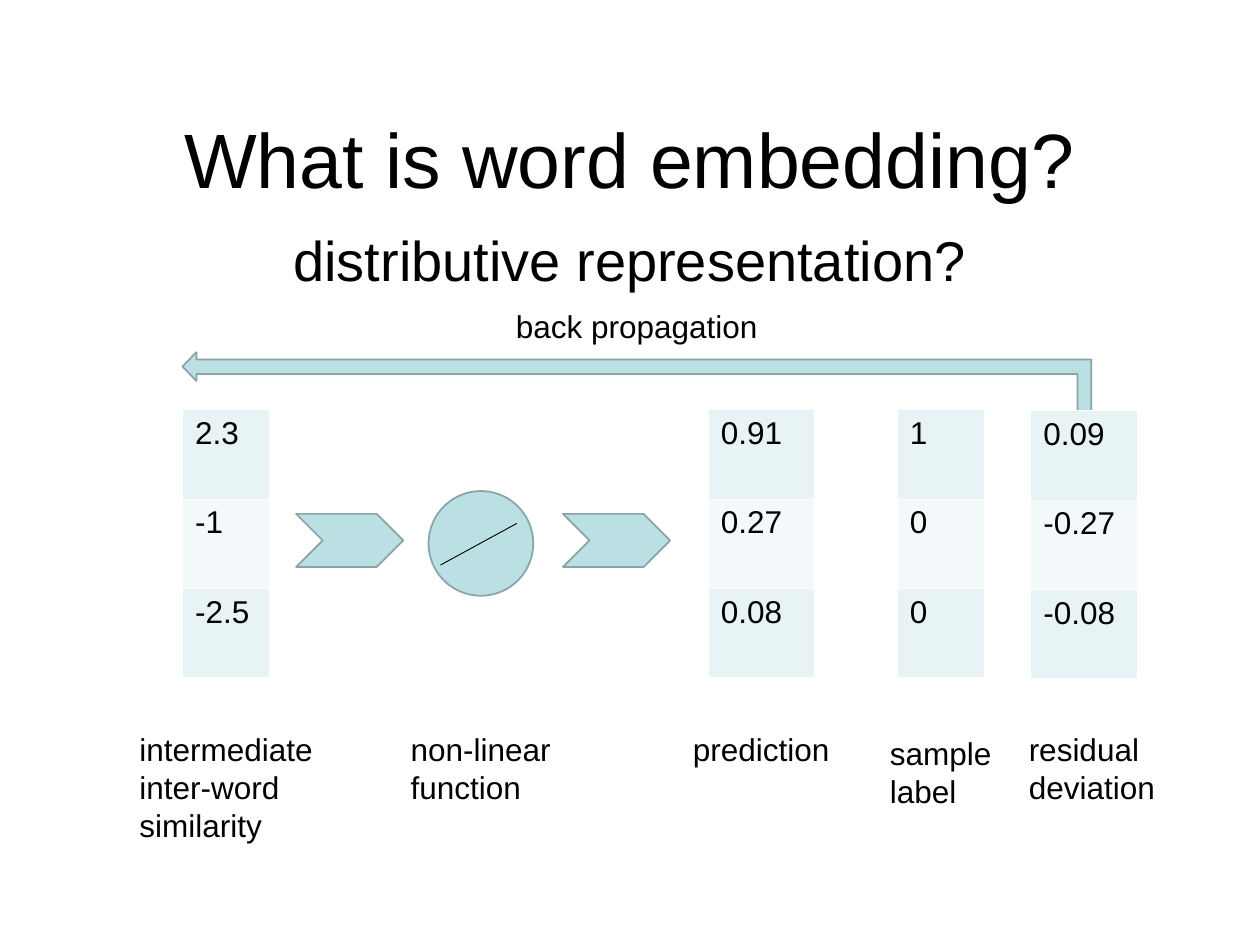
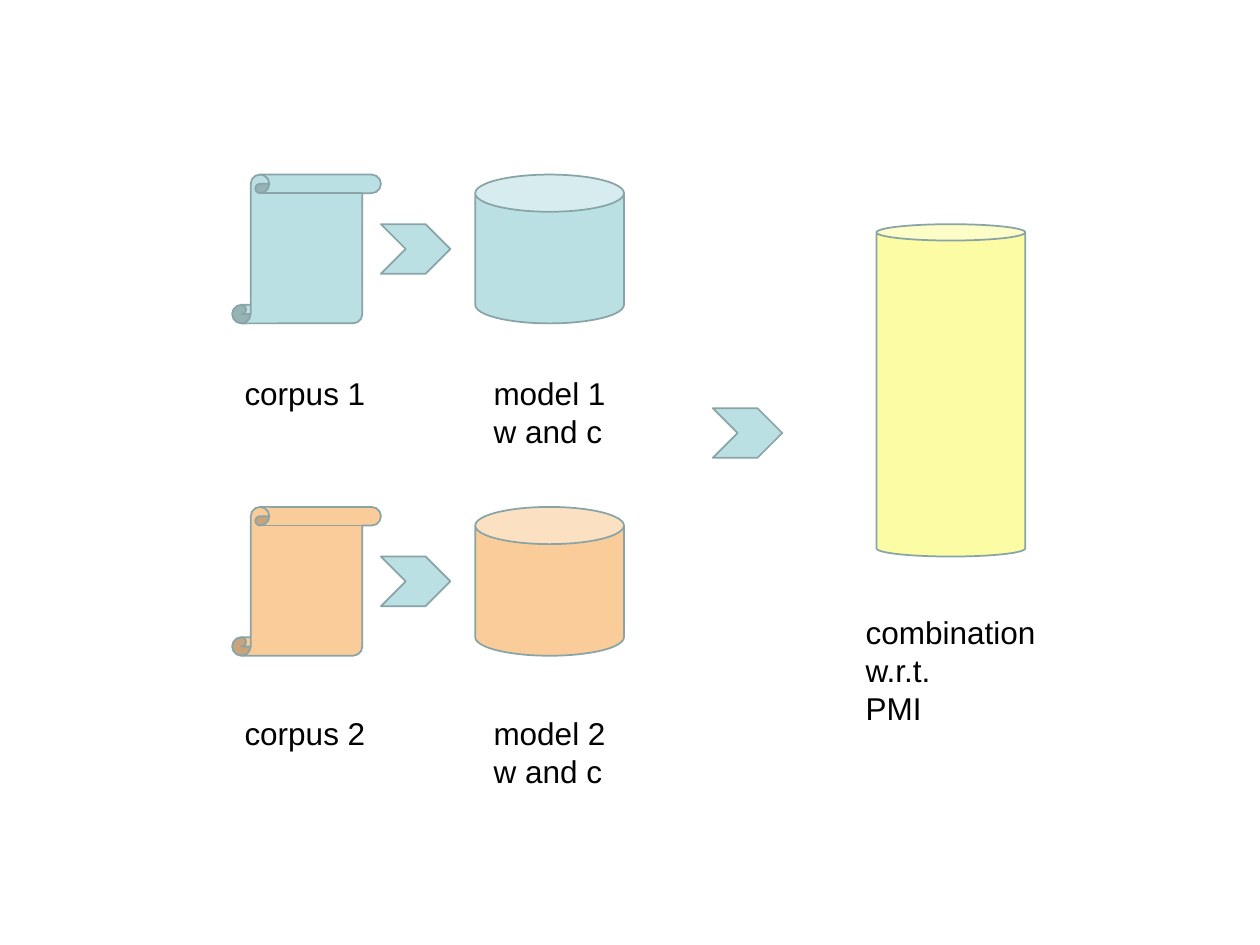
import pptx
import pptx.dml.color
import pptx.enum.shapes
import pptx.enum.text
import pptx.oxml
import pptx.oxml.ns
import pptx.util
from pptx.util import Cm

SHAPES = pptx.enum.shapes.MSO_SHAPE
TEXT_ENUMS = pptx.enum.text
FONT = "Arial"
BLACK, WHITE = "000000", "FFFFFF"
AQUA, ORANGE, YELLOW = "BBE0E3", "FACC9A", "FBFCA3"
OUTLINE = "89A4A7"
BANDS = ("E7F3F4", "F3F9FA")


def color(hex_string):
    return pptx.dml.color.RGBColor.from_string(hex_string)


def place(*lengths):
    return [Cm(length) for length in lengths]


def format_text(text_frame, size):
    for para in text_frame.paragraphs:
        for span in para.runs:
            span.font.name = FONT
            span.font.size = pptx.util.Pt(size)
            span.font.color.rgb = color(BLACK)


def fill_heading(placeholder, text, size, box, space_before=0):
    placeholder.left, placeholder.top, placeholder.width, placeholder.height = place(*box)
    frame = placeholder.text_frame
    frame.text = text
    frame.auto_size = TEXT_ENUMS.MSO_AUTO_SIZE.NONE
    para = frame.paragraphs[0]
    para.alignment = TEXT_ENUMS.PP_ALIGN.CENTER
    para.space_before = pptx.util.Pt(space_before)
    format_text(frame, size)


def add_label(page, text, left, top, width):
    """Add an 18 pt caption whose height follows its number of lines."""
    height = 0.26 + 0.76 * len(text.split("\n"))
    frame = page.shapes.add_textbox(*place(left, top, width, height)).text_frame
    frame.text = text
    frame.word_wrap = True
    frame.auto_size = TEXT_ENUMS.MSO_AUTO_SIZE.SHAPE_TO_FIT_TEXT
    format_text(frame, 18)


def style_shape(shape, fill):
    shape.shadow.inherit = False
    shape.fill.solid()
    shape.fill.fore_color.rgb = color(fill)
    shape.line.color.rgb = color(OUTLINE)
    shape.line.width = pptx.util.Pt(1)


def add_figure(page, kind, left, top, width, height, fill=AQUA):
    shape = page.shapes.add_shape(kind, *place(left, top, width, height))
    style_shape(shape, fill)
    return shape


def add_outline(page, points):
    start, *others = [place(*point) for point in points]
    builder = page.shapes.build_freeform(*start)
    builder.add_line_segments(others, close=True)
    style_shape(builder.convert_to_shape(), AQUA)


def add_thin_line(page, *ends):
    line = page.shapes.add_connector(
        pptx.enum.shapes.MSO_CONNECTOR.STRAIGHT, *place(*ends))
    line.line.color.rgb = color(BLACK)
    line.line.width = pptx.util.Pt(0.5)
    properties = line._element.spPr
    properties.append(properties.makeelement(pptx.oxml.ns.qn("a:effectLst"), {}))


def set_borders(cell):
    properties = cell._tc.get_or_add_tcPr()
    for side in "LRTB":
        properties.append(pptx.oxml.parse_xml(
            f'<a:ln{side} {pptx.oxml.ns.nsdecls("a")} w="5715"><a:solidFill>'
            f'<a:srgbClr val="{WHITE}"/></a:solidFill></a:ln{side}>'))


def add_vector(page, values, left, top, width):
    """Add a one-column table of values with alternating bands."""
    row_height = 1.8
    table = page.shapes.add_table(
        len(values), 1, *place(left, top, width, row_height * len(values))).table
    table.first_row = False
    table.horz_banding = False
    for index, value in enumerate(values):
        cell = table.cell(index, 0)
        cell.text_frame.text = value
        format_text(cell.text_frame, 18)
        set_borders(cell)
        cell.fill.solid()
        cell.fill.fore_color.rgb = color(BANDS[index % 2])


def build_training_page(deck):
    page = deck.slides.add_slide(deck.slide_layouts[0])
    fill_heading(page.shapes.title, "What is word embedding?", 44,
                 (1.9, 1.14, 21.59, 4.09))
    fill_heading(page.placeholders[1], "distributive representation?", 32,
                 (4.14, 4.42, 17.12, 1.98), space_before=8)

    add_figure(page, SHAPES.OVAL, 8.64, 9.9, 2.11, 2.11)
    add_thin_line(page, 8.88, 11.39, 10.42, 10.55)
    for left in (5.97, 11.35):
        add_figure(page, SHAPES.CHEVRON, left, 10.36, 2.16, 1.07)
    add_outline(page, [
        (21.72, 8.28), (21.72, 7.54), (3.96, 7.54), (3.96, 7.68), (3.68, 7.39),
        (3.96, 7.1), (3.96, 7.25), (22, 7.25), (22, 8.28)])

    for values, left, top, width in (
            (("2.3", "-1", "-2.5"), 3.68, 8.26, 1.75),
            (("0.91", "0.27", "0.08"), 14.28, 8.26, 2.14),
            (("1", "0", "0"), 18.09, 8.26, 1.75),
            (("0.09", "-0.27", "-0.08"), 20.78, 8.28, 2.14)):
        add_vector(page, values, left, top, width)

    for text, left, top, width in (
            ("back propagation", 10.15, 6.07, 5.8),
            ("intermediate\ninter-word\nsimilarity", 2.56, 14.6, 4.4),
            ("non-linear\nfunction", 8.03, 14.6, 3.7),
            ("prediction", 13.72, 14.6, 3.6),
            ("sample\nlabel", 17.69, 14.68, 2.9),
            ("residual\ndeviation", 20.49, 14.6, 3.4)):
        add_label(page, text, left, top, width)


def build_combination_page(deck):
    page = deck.slides.add_slide(deck.slide_layouts[6])
    size, row_pitch, label_pitch = 3, 6.7, 6.85
    for row, fill in enumerate((AQUA, ORANGE)):
        top = 3.52 + row * row_pitch
        label_top = 7.42 + row * label_pitch
        add_figure(page, SHAPES.VERTICAL_SCROLL, 4.68, top, size, size, fill)
        add_figure(page, SHAPES.CHEVRON, 7.68, top + 1, 1.4, 1)
        add_figure(page, SHAPES.CAN, 9.58, top, size, size, fill)
        add_label(page, f"corpus {row + 1}", 4.68, label_top, 3.3)
        add_label(page, f"model {row + 1}\nw and c", 9.7, label_top, 3.1)

    add_figure(page, SHAPES.CHEVRON, 14.37, 8.23, 1.4, 1)
    combined = add_figure(page, SHAPES.CAN, 17.67, 4.52, size, row_pitch, YELLOW)
    combined.adjustments[0] = 0.11
    add_label(page, "combination\nw.r.t.\nPMI", 17.2, 12.24, 4.3)


def main():
    deck = pptx.Presentation()
    deck.slide_width, deck.slide_height = place(25.4, 19.05)
    build_training_page(deck)
    build_combination_page(deck)
    deck.save("out.pptx")


if __name__ == "__main__":
    main()
